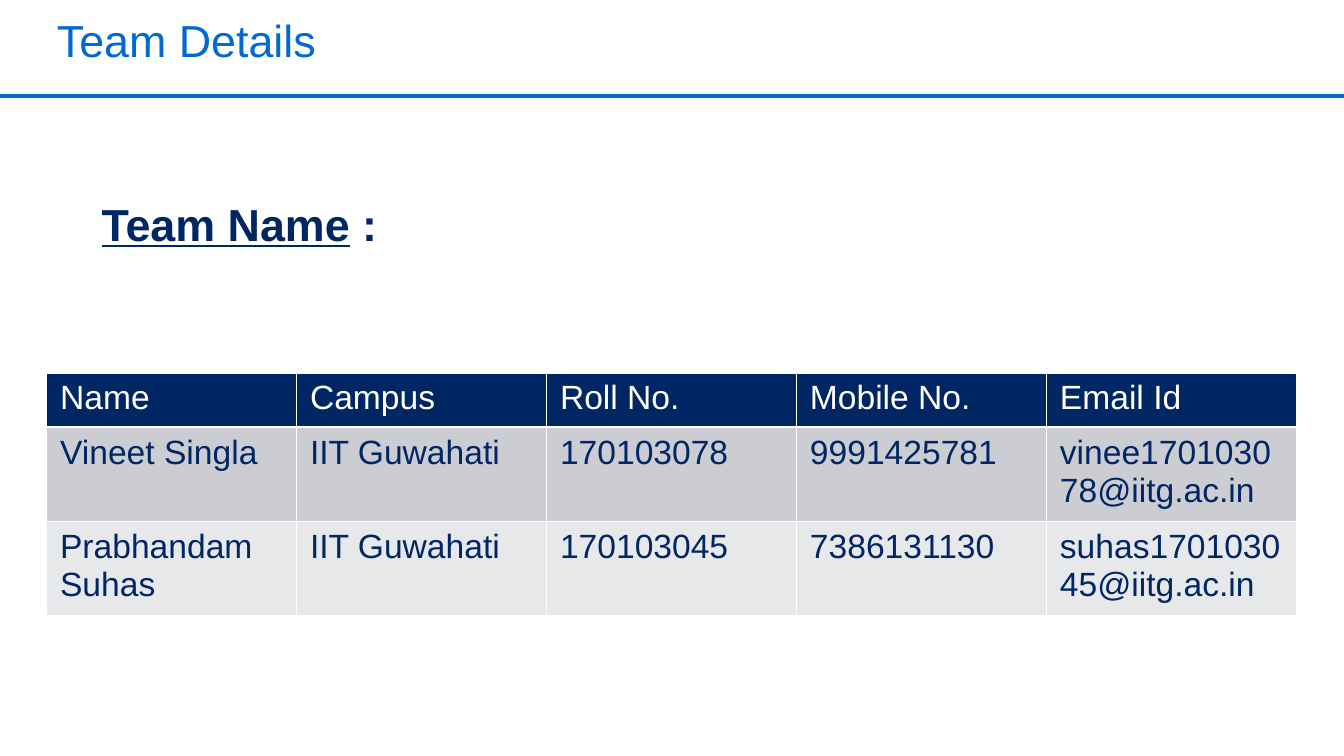
"""Build the team details slide with its heading and member table."""
from dataclasses import astuple, dataclass

import lxml.etree
import pptx
import pptx.dml.color
import pptx.enum.shapes
import pptx.oxml
import pptx.oxml.ns
import pptx.util

Pt = pptx.util.Pt
BLUE, RULE_BLUE, NAVY, WHITE = "006AD2", "0968CE", "002663", "FFFFFF"
ROW_FILLS = (NAVY, "CCCDD3", "E7E8EA")
ROW_HEIGHTS = (29.2, 47.5, 47.5)
COLUMN_WIDTH = 133.92


@dataclass
class Member:
    name: str
    campus: str
    roll: str
    mobile: str
    email: str


ROWS = (
    Member("Name", "Campus", "Roll No.", "Mobile No.", "Email Id"),
    Member("Vineet Singla", "IIT Guwahati", "170103078", "9991425781",
           "vinee170103078@iitg.ac.in"),
    Member("Prabhandam Suhas", "IIT Guwahati", "170103045", "7386131130",
           "suhas170103045@iitg.ac.in"),
)


def color(value: str) -> pptx.dml.color.RGBColor:
    return pptx.dml.color.RGBColor.from_string(value)


def write(para, text: str, *, size: float, ink: str, bold: bool = False,
          underline: bool = False) -> None:
    span = para.add_run()
    span.text = text
    font = span.font
    font.name, font.size, font.bold = "Arial", Pt(size), bold
    font.underline = underline
    font.color.rgb = color(ink)


def add_box(slide, left: float, top: float, width: float, height: float):
    box = slide.shapes.add_textbox(Pt(left), Pt(top), Pt(width), Pt(height))
    box.text_frame.word_wrap = True
    return box.text_frame


def add_borders(cell, ink: str, width: float) -> None:
    properties = cell._tc.get_or_add_tcPr()
    for side in ("lnL", "lnR", "lnT", "lnB"):
        properties.append(pptx.oxml.parse_xml(
            f'<a:{side} {pptx.oxml.ns.nsdecls("a")} w="{Pt(width)}"><a:solidFill>'
            f'<a:srgbClr val="{ink}"/></a:solidFill></a:{side}>'))


def add_title(slide) -> None:
    frame = add_box(slide, 30.5, 12.2, 648, 59)
    frame.margin_left = frame.margin_right = 0
    frame.margin_top = frame.margin_bottom = 0
    para = frame.paragraphs[0]
    para.line_spacing = 0.82
    write(para, "Team Details", size=24, ink=BLUE)


def add_rule(slide) -> None:
    rule = slide.shapes.add_connector(
        pptx.enum.shapes.MSO_CONNECTOR.STRAIGHT, Pt(0), Pt(51.5), Pt(720), Pt(51.5))
    rule.line.color.rgb = color(RULE_BLUE)
    rule.line.width = Pt(2)
    lxml.etree.SubElement(rule._element.spPr, pptx.oxml.ns.qn("a:effectLst"))


def add_member_table(slide) -> None:
    columns = len(astuple(ROWS[0]))
    table = slide.shapes.add_table(
        len(ROWS), columns, Pt(25), Pt(199.7),
        Pt(COLUMN_WIDTH * columns), Pt(sum(ROW_HEIGHTS))).table
    for column in table.columns:
        column.width = Pt(COLUMN_WIDTH)
    for index, (row, member) in enumerate(zip(table.rows, ROWS)):
        row.height = Pt(ROW_HEIGHTS[index])
        for cell, text in zip(row.cells, astuple(member)):
            add_borders(cell, WHITE, 1)
            cell.fill.solid()
            cell.fill.fore_color.rgb = color(ROW_FILLS[index])
            write(cell.text_frame.paragraphs[0], text, size=18,
                  ink=NAVY if index else WHITE)


def add_team_name(slide) -> None:
    para = add_box(slide, 47.3, 101.7, 284.4, 36).paragraphs[0]
    write(para, "Team Name", size=24, ink=NAVY, bold=True, underline=True)
    write(para, " :", size=24, ink=NAVY, bold=True)


deck = pptx.Presentation()
deck.slide_width, deck.slide_height = Pt(720), Pt(405)
page = deck.slides.add_slide(deck.slide_layouts[6])
add_title(page)
add_rule(page)
add_member_table(page)
add_team_name(page)
deck.save("out.pptx")
